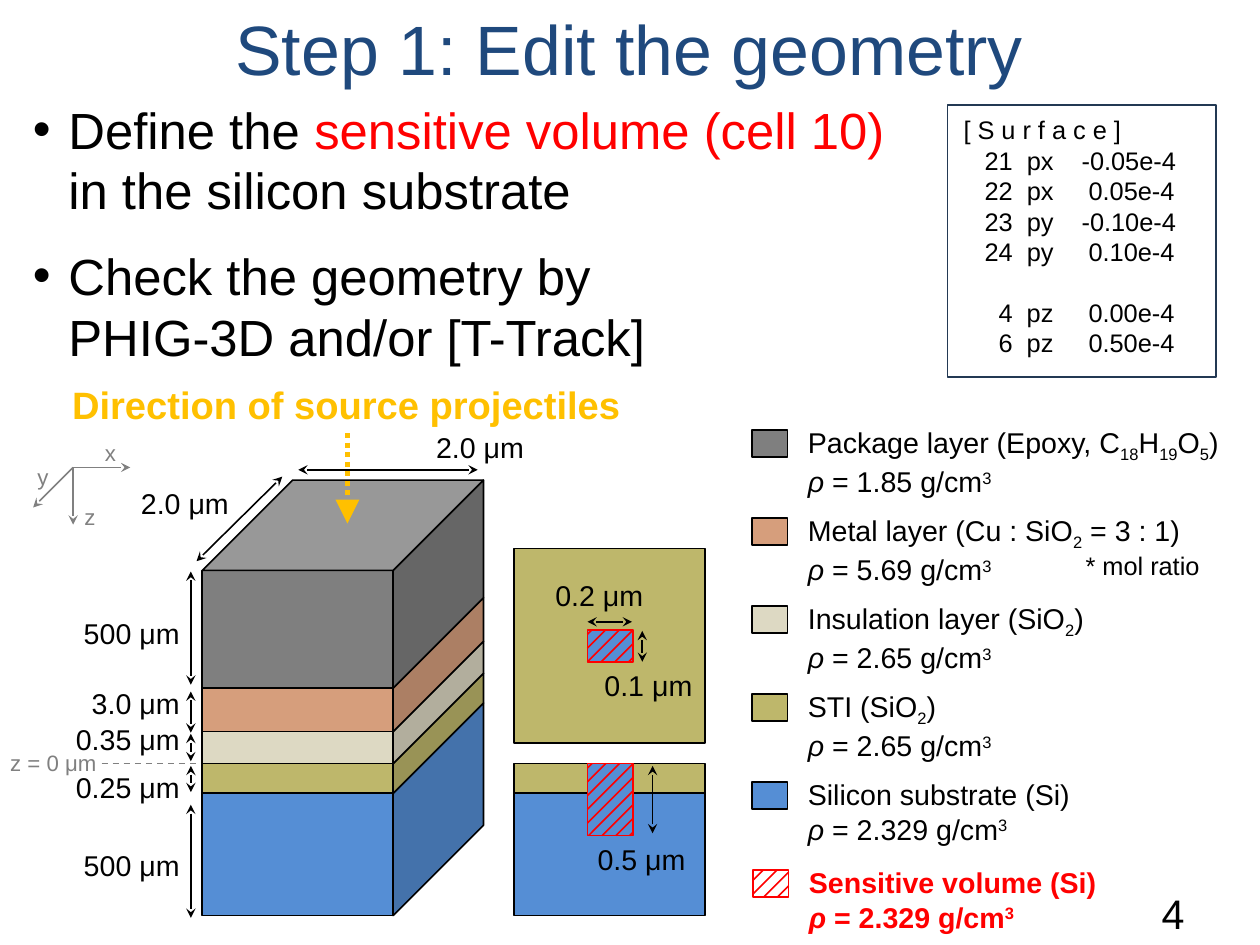
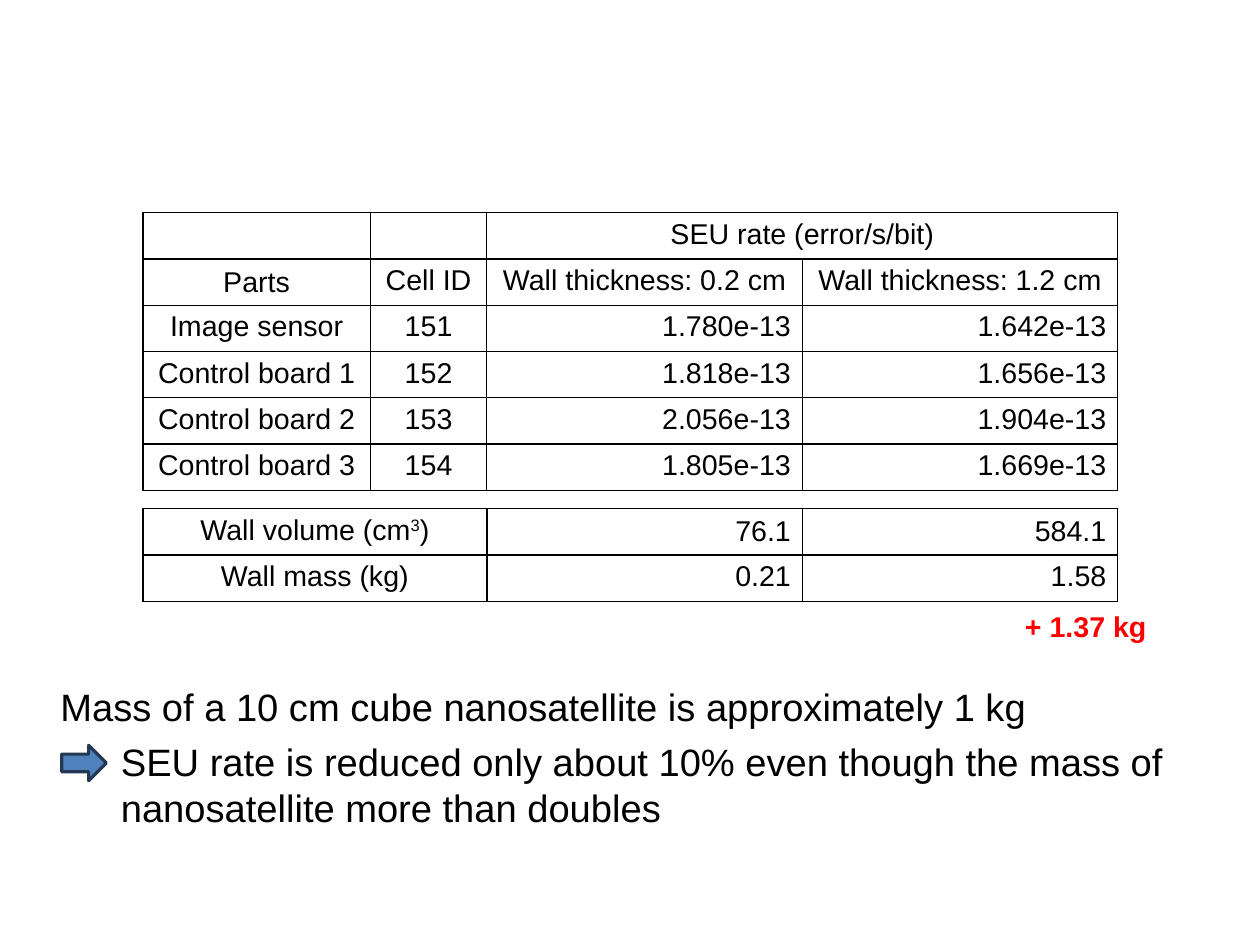
"""Build two slides on the device geometry and the shielding results."""
from dataclasses import dataclass

from lxml import etree
from pptx import Presentation
from pptx.dml.color import RGBColor
from pptx.enum.dml import MSO_LINE
from pptx.enum.shapes import MSO_CONNECTOR, MSO_SHAPE
from pptx.enum.text import MSO_ANCHOR, PP_ALIGN
from pptx.oxml.ns import qn
from pptx.util import Inches, Pt

FONT = "Arial"
BLACK = RGBColor(0x00, 0x00, 0x00)
GRAY = RGBColor(0x80, 0x80, 0x80)
RED = RGBColor(0xFF, 0x00, 0x00)
GOLD = RGBColor(0xFF, 0xC0, 0x00)
NAVY = RGBColor(0x1F, 0x49, 0x7D)
FRAME = RGBColor(0x23, 0x39, 0x53)
ARROW_BLUE = RGBColor(0x4F, 0x81, 0xBD)
PACKAGE, PACKAGE_SIDE = RGBColor(0x7F, 0x7F, 0x7F), RGBColor(0x66, 0x66, 0x66)
PACKAGE_TOP = RGBColor(0x98, 0x98, 0x98)
METAL, METAL_SIDE = RGBColor(0xD6, 0x9E, 0x7C), RGBColor(0xAC, 0x7F, 0x64)
OXIDE, OXIDE_SIDE = RGBColor(0xDD, 0xD9, 0xC3), RGBColor(0xB2, 0xAE, 0x9D)
STI, STI_SIDE = RGBColor(0xBE, 0xB7, 0x6B), RGBColor(0x99, 0x93, 0x56)
SILICON, SILICON_SIDE = RGBColor(0x55, 0x8E, 0xD5), RGBColor(0x44, 0x72, 0xAB)

LEFT, CENTER, RIGHT = PP_ALIGN.LEFT, PP_ALIGN.CENTER, PP_ALIGN.RIGHT
TOP, MIDDLE = MSO_ANCHOR.TOP, MSO_ANCHOR.MIDDLE
RECTANGLE, PARALLELOGRAM = MSO_SHAPE.RECTANGLE, MSO_SHAPE.PARALLELOGRAM
RIGHT_ARROW = MSO_SHAPE.RIGHT_ARROW
STRAIGHT = MSO_CONNECTOR.STRAIGHT
DASH, DOT = MSO_LINE.DASH, MSO_LINE.ROUND_DOT

PAGE_WIDTH, PAGE_HEIGHT = Pt(793.75), Pt(595.25)
BLOCK_LEFT, BLOCK_WIDTH, BLOCK_DEPTH = 1.77, 1.67, 0.79
VIEW_LEFT = 4.5
LEGEND_TOP, LEGEND_PITCH = 3.67, 0.77
HATCH_PITCH = 0.12


@dataclass(frozen=True)
class Span:
    text: str
    baseline: int = 0
    italic: bool = False
    color: RGBColor | None = None


@dataclass(frozen=True)
class Layer:
    name: str
    density: str
    thickness: str
    front: RGBColor
    side: RGBColor
    top: float
    bottom: float
    label_top: float
    arrow: tuple[float, float]


LAYERS = [
    Layer("Package layer (Epoxy, C_18_H_19_O_5_)", "1.85", "500 μm", PACKAGE, PACKAGE_SIDE,
          4.99, 6.02, 5.34, (5, 5.99)),
    Layer("Metal layer (Cu : SiO_2_ = 3 : 1)", "5.69", "3.0 μm", METAL, METAL_SIDE,
          6.02, 6.4, 5.95, (6.05, 6.41)),
    Layer("Insulation layer (SiO_2_)", "2.65", "0.35 μm", OXIDE, OXIDE_SIDE,
          6.4, 6.68, 6.27, (6.42, 6.66)),
    Layer("STI (SiO_2_)", "2.65", "0.25 μm", STI, STI_SIDE,
          6.68, 6.94, 6.69, (6.7, 6.93)),
    Layer("Silicon substrate (Si)", "2.329", "500 μm", SILICON, SILICON_SIDE,
          6.94, 8.01, 7.37, (7.04, 8.03)),
]
SURFACE_CODE = [
    "[ S u r f a c e ]",
    "   21  px    -0.05e-4",
    "   22  px     0.05e-4",
    "   23  py    -0.10e-4",
    "   24  py     0.10e-4",
    "     4  pz     0.00e-4",
    "     6  pz     0.50e-4",
]
BULLETS = [
    (0.81, 7.84, [Span("Define the "), Span("sensitive volume (cell 10)", color=RED),
                  Span(" in the silicon substrate")]),
    (2.09, 5.98, "Check the geometry by PHIG-3D and/or [T-Track]"),
]
RATE_ROWS = [
    ["", "", "SEU rate (error/s/bit)", ""],
    ["Parts", "Cell ID", "Wall thickness: 0.2 cm", "Wall thickness: 1.2 cm"],
    ["Image sensor", "151", "1.780e-13", "1.642e-13"],
    ["Control board 1", "152", "1.818e-13", "1.656e-13"],
    ["Control board 2", "153", "2.056e-13", "1.904e-13"],
    ["Control board 3", "154", "1.805e-13", "1.669e-13"],
]
WALL_ROWS = [
    [[Span("Wall volume (cm"), Span("3", 30000), Span(")")], "76.1", "584.1"],
    ["Wall mass (kg)", "0.21", "1.58"],
]
MIDDLE_CELLS = ("Parts", "76.1", "584.1")


def formula(text: str) -> list[Span]:
    """Turn text between underscores into subscripts."""
    return [Span(part, -25000 * (index % 2)) for index, part in enumerate(text.split("_")) if part]


def density(value: str) -> list[Span]:
    """Return the density line of a legend entry."""
    return [Span("ρ", italic=True), Span(f" = {value} g/cm"), Span("3", 30000)]


def write(frame, lines, *, size=18, color=BLACK, align=LEFT, bold=False):
    """Fill a text frame with lines, each a string or a list of spans."""
    for index, line in enumerate(lines):
        para = frame.paragraphs[0] if index == 0 else frame.add_paragraph()
        para.alignment = align
        for span in [Span(line)] if isinstance(line, str) else line:
            run = para.add_run()
            run.text = span.text
            font = run.font
            font.name, font.size, font.bold = FONT, Pt(size), bold
            font.italic = span.italic
            font.color.rgb = span.color or color
            if span.baseline:
                run._r.get_or_add_rPr().set("baseline", str(span.baseline))


def add_text(page, left, top, width, height, *lines, wrap=False, **style):
    """Add a text box and return its frame."""
    box = page.shapes.add_textbox(Inches(left), Inches(top), Inches(width), Inches(height))
    box.text_frame.word_wrap = wrap
    write(box.text_frame, lines, **style)
    return box.text_frame


def add_box(page, left, top, width, height, fill=None, *, kind=RECTANGLE, line=BLACK, weight=1):
    """Add an outlined preset shape."""
    box = page.shapes.add_shape(kind, Inches(left), Inches(top), Inches(width), Inches(height))
    box.shadow.inherit = False
    if fill is None:
        box.fill.background()
    else:
        box.fill.solid()
        box.fill.fore_color.rgb = fill
    box.line.color.rgb = line
    box.line.width = Pt(weight)
    return box


def add_line(page, start, end, *, color=BLACK, weight=1, dash=None, head=None, tail=None,
             arrow_size="med"):
    """Add a straight connector with optional arrowheads."""
    connector = page.shapes.add_connector(STRAIGHT, *(Inches(value) for value in (*start, *end)))
    connector.line.color.rgb = color
    connector.line.width = Pt(weight)
    if dash is not None:
        connector.line.dash_style = dash
    properties = connector.element.spPr
    outline = properties.find(qn("a:ln"))
    for tag, arrow in (("a:headEnd", head), ("a:tailEnd", tail)):
        if arrow:
            etree.SubElement(outline, qn(tag), type=arrow, w=arrow_size, len=arrow_size)
    etree.SubElement(properties, qn("a:effectLst"))


def add_dimension(page, start, end):
    """Add a measuring line with arrowheads at both ends."""
    add_line(page, start, end, head="stealth", tail="stealth")


def add_hatched(page, left, top, width, height, fill=None, first=0.04):
    """Add a red box filled with evenly spaced diagonal lines."""
    add_box(page, left, top, width, height, fill, line=RED)
    for index in range(int((width + height - first) / HATCH_PITCH) + 1):
        offset = first + index * HATCH_PITCH
        add_line(page, (left + min(offset, width), top + max(0, offset - width)),
                 (left + max(0, offset - height), top + min(offset, height)), color=RED)


def add_block(page):
    """Draw the layered block with its dimensions."""
    side_left = BLOCK_LEFT + BLOCK_WIDTH
    for layer in reversed(LAYERS):
        height = layer.bottom - layer.top
        length = height + BLOCK_DEPTH
        middle = (layer.top - BLOCK_DEPTH + layer.bottom) / 2
        side = add_box(page, side_left + (BLOCK_DEPTH - length) / 2, middle - BLOCK_DEPTH / 2,
                       length, BLOCK_DEPTH, layer.side, kind=PARALLELOGRAM)
        side.adjustments[0] = 1
        side.rotation = 270
        side.element.spPr.get_or_add_xfrm().set("flipH", "1")
        add_box(page, BLOCK_LEFT, layer.top, BLOCK_WIDTH, height, layer.front)
        add_text(page, 0.36, layer.label_top, 1.31, 0.4, layer.thickness, align=RIGHT, wrap=True)
        add_dimension(page, *((1.67, end) for end in layer.arrow))
    lid = add_box(page, BLOCK_LEFT, LAYERS[0].top - BLOCK_DEPTH, BLOCK_WIDTH + BLOCK_DEPTH,
                  BLOCK_DEPTH, PACKAGE_TOP, kind=PARALLELOGRAM)
    lid.adjustments[0] = 1
    add_text(page, 1.05, 4.2, 1.05, 0.4, "2.0 μm", align=RIGHT, wrap=True)
    add_text(page, 3.67, 3.71, 1.06, 0.4, "2.0 μm", align=CENTER, wrap=True)
    add_dimension(page, (2.47, 4.17), (1.72, 4.91))
    add_dimension(page, (4.18, 4.11), (2.61, 4.11))
    add_line(page, (3.04, 3.79), (3.04, 4.58), color=GOLD, weight=3, dash=DOT, tail="triangle",
             arrow_size="lg")
    add_text(page, 0.51, 3.29, 5.04, 0.5, "Direction of source projectiles",
             size=24, color=GOLD, align=CENTER, bold=True)


def add_axes(page):
    """Draw the coordinate axes and the zero level."""
    for name, end, left, top in (("x", (1.14, 4.09), 0.82, 3.79), ("y", (0.29, 4.44), 0.23, 4),
                                 ("z", (0.64, 4.59), 0.64, 4.35)):
        add_line(page, (0.64, 4.09), end, color=GRAY, tail="stealth")
        add_text(page, left, top, 0.3, 0.34, name, size=14, color=GRAY)
    add_line(page, (0.89, 6.68), (1.75, 6.68), color=GRAY, dash=DASH)
    add_text(page, -0.01, 6.51, 0.96, 0.34, "z = 0 μm", size=14, color=GRAY)


def add_views(page):
    """Draw the sensitive volume from above and from the side."""
    add_box(page, VIEW_LEFT, 4.8, BLOCK_WIDTH, 1.7, STI)
    add_hatched(page, 5.14, 5.51, 0.4, 0.28, SILICON)
    for layer in reversed(LAYERS[-2:]):
        add_box(page, VIEW_LEFT, layer.top, BLOCK_WIDTH, layer.bottom - layer.top, layer.front)
    add_hatched(page, 5.14, 6.68, 0.4, 0.63, SILICON)
    for label, left, top, start, end in (("0.2 μm", 4.76, 5.01, (5.53, 5.44), (5.14, 5.44)),
                                         ("0.1 μm", 5.19, 5.79, (5.62, 5.79), (5.62, 5.52)),
                                         ("0.5 μm", 5.13, 7.32, (5.71, 7.29), (5.71, 6.7))):
        add_text(page, left, top, 1.15, 0.4, label, wrap=True)
        add_dimension(page, start, end)


def add_legend(page):
    """List the materials and their densities."""
    for index, layer in enumerate(LAYERS):
        top = LEGEND_TOP + index * LEGEND_PITCH
        add_box(page, 6.58, top + 0.09, 0.31, 0.24, layer.front)
        add_text(page, 6.97, top, 3.89, 0.71, formula(layer.name), density(layer.density), wrap=True)
    top = LEGEND_TOP + len(LAYERS) * LEGEND_PITCH
    add_hatched(page, 6.59, top + 0.09, 0.31, 0.24, first=0.09)
    add_text(page, 6.98, top, 2.74, 0.71, "Sensitive volume (Si)", density("2.329"),
             color=RED, bold=True)
    add_text(page, 9.4, 4.76, 1.21, 0.37, "* mol ratio", size=16)


def add_grid(page, top, height, widths, rows, centered):
    """Add a plain ruled table and return it."""
    table = page.shapes.add_table(len(rows), len(widths), Inches(1.25), Inches(top),
                                  Inches(sum(widths)), Inches(height)).table
    table.first_row = table.horz_banding = False
    for column, width in zip(table.columns, widths):
        column.width = Inches(width)
    for row_index, row in enumerate(rows):
        for column_index, text in enumerate(row):
            cell = table.cell(row_index, column_index)
            properties = cell._tc.get_or_add_tcPr()
            for tag in ("a:lnL", "a:lnR", "a:lnT", "a:lnB"):
                border = etree.SubElement(properties, qn(tag), w=str(Pt(1)))
                fill = etree.SubElement(border, qn("a:solidFill"))
                etree.SubElement(fill, qn("a:srgbClr"), val=str(BLACK))
            cell.fill.background()
            if text in MIDDLE_CELLS:
                cell.vertical_anchor = MIDDLE
            if text:
                align = CENTER if centered(row_index, column_index) else RIGHT
                write(cell.text_frame, [text], align=align)
    return table


def build_geometry(page):
    """Fill the geometry slide."""
    add_text(page, 1.84, 0, 7.34, 0.84, "Step 1: Edit the geometry", size=44, color=NAVY, align=CENTER)
    add_text(page, 9.83, 7.72, 0.87, 0.55, "4", size=26, align=CENTER, wrap=True)
    add_block(page)
    add_axes(page)
    add_views(page)
    add_legend(page)
    for top, width, line in BULLETS:
        para = add_text(page, 0.19, top, width, 1.18, line, size=32, wrap=True).paragraphs[0]
        properties = para._p.get_or_add_pPr()
        properties.set("marL", str(Inches(0.31)))
        properties.set("indent", str(-Inches(0.31)))
        etree.SubElement(properties, qn("a:buFont"), typeface=FONT)
        etree.SubElement(properties, qn("a:buChar"), char="•")
    frame = add_box(page, 8.29, 0.92, 2.35, 2.38, line=FRAME).text_frame
    frame.word_wrap, frame.vertical_anchor = True, TOP
    frame.margin_left, frame.margin_top = Inches(0.14), Inches(0.08)
    write(frame, SURFACE_CODE, size=16)
    frame.paragraphs[5].space_before = Pt(19)


def build_results(page):
    """Fill the results slide."""
    rates = add_grid(page, 1.86, 2.43, (1.99, 1.02, 2.76, 2.76), RATE_ROWS,
                     lambda row, column: row < 2 or column < 2)
    rates.cell(0, 2).merge(rates.cell(0, 3))
    add_grid(page, 4.45, 0.81, (3.01, 2.76, 2.76), WALL_ROWS, lambda row, column: column == 0)
    add_text(page, 8.87, 5.28, 1.27, 0.4, "+ 1.37 kg", color=RED, bold=True)
    add_text(page, 0.43, 5.93, 8.83, 0.5,
             "Mass of a 10 cm cube nanosatellite is approximately 1 kg", size=24)
    add_box(page, 0.54, 6.52, 0.39, 0.31, ARROW_BLUE, kind=RIGHT_ARROW, line=FRAME, weight=2)
    add_text(page, 0.96, 6.41, 9.56, 0.91, "SEU rate is reduced only about 10% even though "
             "the mass of nanosatellite more than doubles", size=24, wrap=True)


def main():
    """Create and save the deck."""
    deck = Presentation()
    deck.slide_width, deck.slide_height = PAGE_WIDTH, PAGE_HEIGHT
    for build in (build_geometry, build_results):
        build(deck.slides.add_slide(deck.slide_layouts[6]))
    deck.save("out.pptx")


if __name__ == "__main__":
    main()
